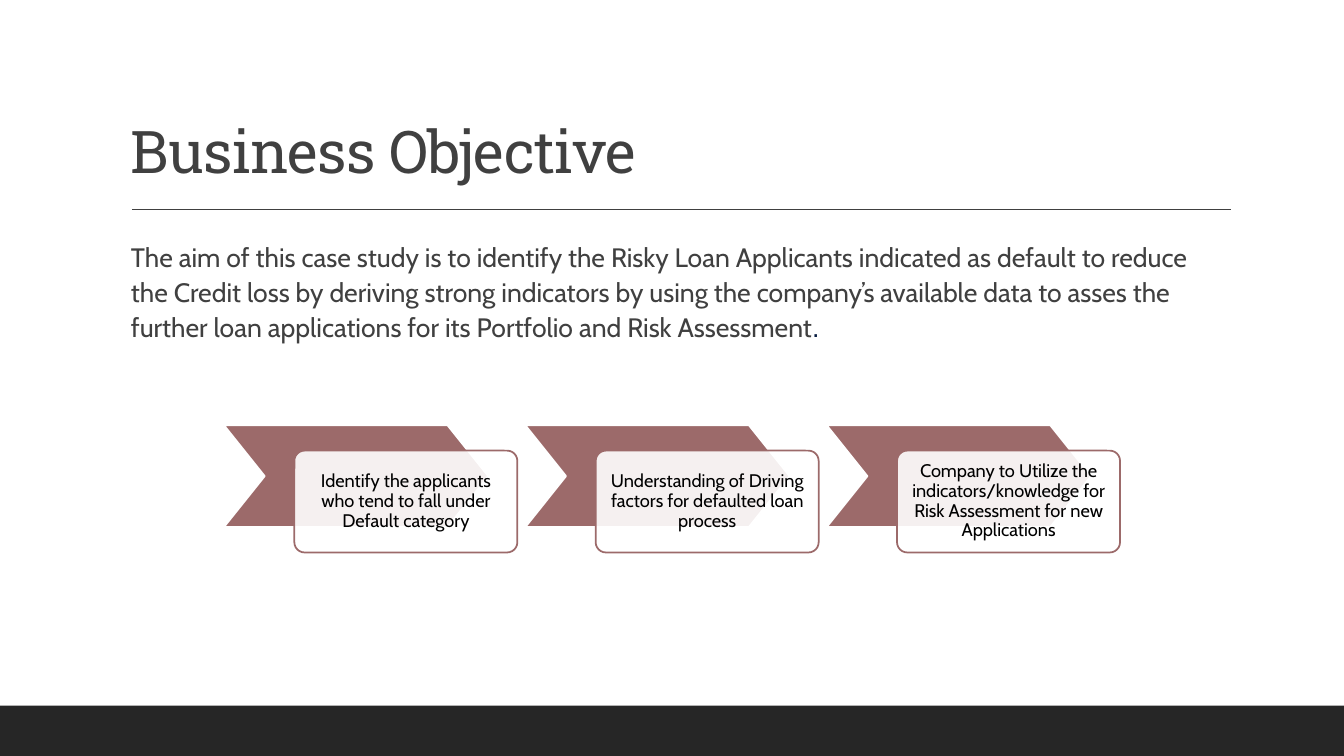
"""Build the Business Objective slide with three overlapping process steps."""
from lxml import etree
from pptx import Presentation
from pptx.dml.color import RGBColor
from pptx.enum.shapes import MSO_CONNECTOR, MSO_SHAPE
from pptx.enum.text import MSO_ANCHOR, PP_ALIGN
from pptx.oxml.ns import qn
from pptx.util import Pt

RECTANGLE = MSO_SHAPE.RECTANGLE
CHEVRON = MSO_SHAPE.CHEVRON
ROUNDED = MSO_SHAPE.ROUNDED_RECTANGLE
STRAIGHT = MSO_CONNECTOR.STRAIGHT
TOP, MIDDLE, BOTTOM = MSO_ANCHOR.TOP, MSO_ANCHOR.MIDDLE, MSO_ANCHOR.BOTTOM
LEFT, CENTER = PP_ALIGN.LEFT, PP_ALIGN.CENTER

WHITE = RGBColor(0xFF, 0xFF, 0xFF)
BLACK = RGBColor(0x00, 0x00, 0x00)
CHARCOAL = RGBColor(0x26, 0x26, 0x26)
GRAY = RGBColor(0x40, 0x40, 0x40)
NAVY = RGBColor(0x09, 0x1E, 0x42)
ROSE = RGBColor(0x9C, 0x6A, 0x6A)

AIM = (
    "The aim of this case study is to identify the Risky Loan Applicants "
    "indicated as default to reduce the Credit loss by deriving strong "
    "indicators by using the company’s available data to asses the further "
    "loan applications for its Portfolio and Risk Assessment"
)
STEPS = (
    "Identify the applicants who tend to fall under Default category",
    "Understanding of Driving factors for defaulted loan process",
    "Company to Utilize the indicators/knowledge for Risk Assessment for new Applications",
)
FIRST_STEP, STEP_PITCH = 160, 215.25


def write(paragraph, text, font="Cabin", size=19, color=GRAY, tracking=None):
    run = paragraph.add_run()
    run.text = text
    run.font.name = font
    run.font.size = Pt(size)
    run.font.color.rgb = color
    if tracking is not None:
        run.font._element.set("spc", str(round(tracking * 100)))


class ObjectiveSlide:
    def __init__(self, slide):
        self.slide = slide

    def paragraph(self, frame, anchor, insets, spacing, align=LEFT):
        frame.word_wrap = True
        frame.vertical_anchor = anchor
        across, down = insets
        frame.margin_left = frame.margin_right = Pt(across)
        frame.margin_top = frame.margin_bottom = Pt(down)
        paragraph = frame.paragraphs[0]
        paragraph.alignment = align
        paragraph.line_spacing = spacing
        return paragraph

    def text_box(self, left, top, width, height, **layout):
        box = self.slide.shapes.add_textbox(Pt(left), Pt(top), Pt(width), Pt(height))
        return self.paragraph(box.text_frame, **layout)

    def shape(self, kind, left, top, width, height, fill, line=None, adjust=None, opacity=None):
        shape = self.slide.shapes.add_shape(kind, Pt(left), Pt(top), Pt(width), Pt(height))
        shape.shadow.inherit = False
        shape.fill.solid()
        shape.fill.fore_color.rgb = fill
        if line is None:
            shape.line.fill.background()
        else:
            shape.line.color.rgb = line
            shape.line.width = Pt(1.25)
        if adjust is not None:
            shape.adjustments[0] = adjust
        if opacity is not None:
            color = shape._element.spPr.find(qn("a:solidFill")).find(qn("a:srgbClr"))
            etree.SubElement(color, qn("a:alpha")).set("val", str(opacity * 1000))
        return shape

    def rule(self, left, right, y):
        rule = self.slide.shapes.add_connector(STRAIGHT, Pt(left), Pt(y), Pt(right), Pt(y))
        rule.line.color.rgb = GRAY
        rule.line.width = Pt(1)
        etree.SubElement(rule._element.spPr, qn("a:effectLst"))

    def step(self, left, text):
        self.shape(CHEVRON, left, 303.75, 188.75, 72.75, ROSE, line=WHITE, adjust=0.4)
        card = self.shape(ROUNDED, left + 50.3, 321.9, 159.25, 72.75, WHITE,
                          line=ROSE, adjust=0.1, opacity=90)
        label = self.paragraph(card.text_frame, MIDDLE, (7.2, 7.2), 0.9, CENTER)
        write(label, text, size=13, color=BLACK)


def main():
    deck = Presentation()
    deck.slide_width, deck.slide_height = Pt(960), Pt(540)
    page = ObjectiveSlide(deck.slides.add_slide(deck.slide_layouts[6]))

    page.shape(RECTANGLE, 0, 504, 960, 36, CHARCOAL)
    page.rule(94.3, 879, 149.5)

    title = page.text_box(86.4, 22.3, 792, 114.5, anchor=BOTTOM, insets=(7.2, 3.6), spacing=0.9)
    write(title, "Business Objective", font="Roboto Slab", size=42, tracking=-0.5)

    aim = page.text_box(93.6, 166.3, 784.8, 296, anchor=TOP, insets=(0, 3.6), spacing=1.1)
    aim.space_before, aim.space_after = Pt(12), Pt(2)
    write(aim, AIM)
    write(aim, ".", font="Arial", color=NAVY)

    for index, text in enumerate(STEPS):
        page.step(FIRST_STEP + index * STEP_PITCH, text)

    deck.save("out.pptx")


if __name__ == "__main__":
    main()
